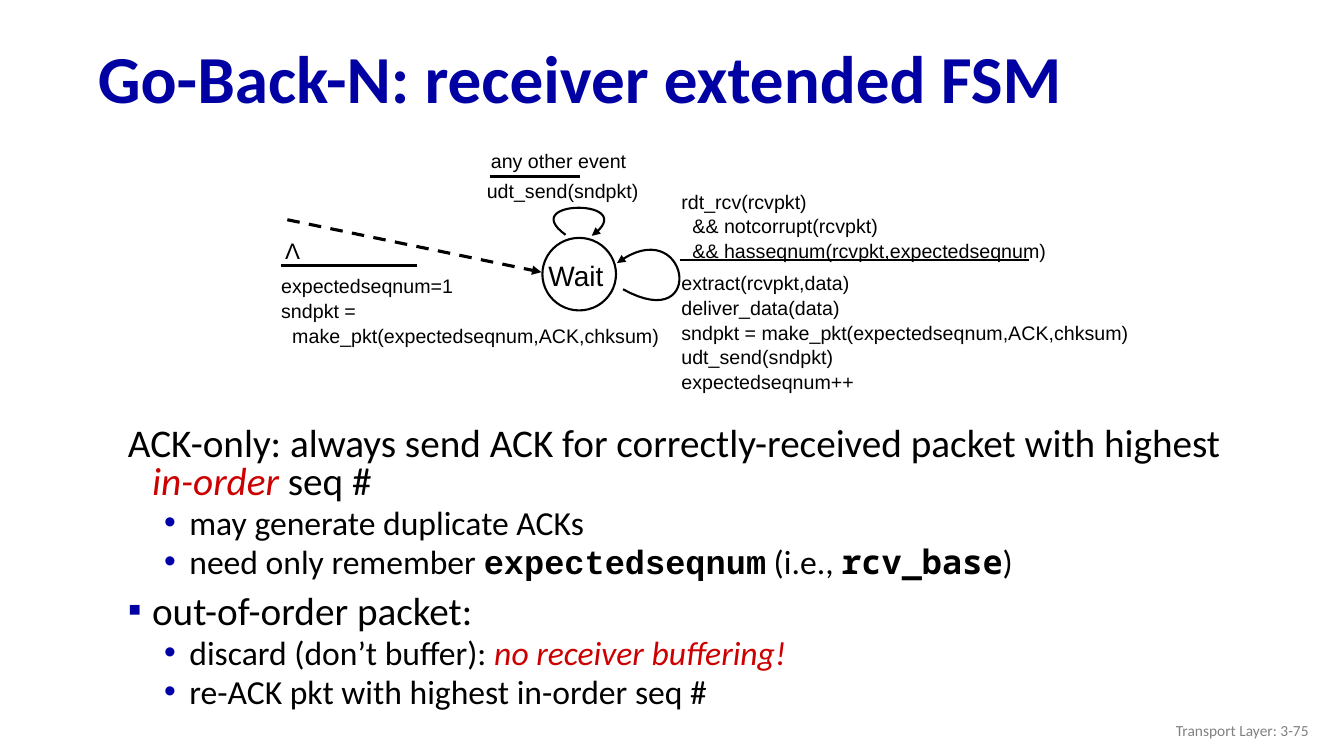
"""Build the Go-Back-N receiver extended FSM slide."""
from lxml.etree import SubElement
from pptx import Presentation
from pptx.dml.color import RGBColor
from pptx.enum.dml import MSO_LINE
from pptx.enum.shapes import MSO_CONNECTOR, MSO_SHAPE
from pptx.enum.text import MSO_ANCHOR, PP_ALIGN
from pptx.oxml.ns import qn
from pptx.util import Inches, Pt

COLORS = {"title": "0000A3", "bullet": "0000A8", "text": "000000",
          "accent": "CC0000", "footer": "808080", "state": "FFFFFF"}


def add_run(paragraph, text, size, color="text", name="Arial", **styles):
    """Append a formatted run to a paragraph."""
    run = paragraph.add_run()
    run.text = text
    run.font.color.rgb = RGBColor.from_string(COLORS[color])
    for attribute, value in {"size": Pt(size), "name": name, **styles}.items():
        setattr(run.font, attribute, value)


def style_line(shape, width, arrow):
    """Give a line or outline its colour, width and optional arrowhead."""
    shape.line.color.rgb = RGBColor.from_string(COLORS["text"])
    shape.line.width = Pt(width)
    properties = shape.element.spPr
    if arrow:
        SubElement(properties.find(qn("a:ln")), qn("a:tailEnd"), type="triangle")
    if properties.find(qn("a:effectLst")) is None:
        SubElement(properties, qn("a:effectLst"))


presentation = Presentation()
presentation.slide_width = Inches(13.33)
presentation.slide_height = Inches(7.5)
slide = presentation.slides.add_slide(presentation.slide_layouts[5])

title = slide.shapes.title
title_box = {"left": 0.87, "top": 0.32, "width": 12.14, "height": 0.98}
for attribute, value in title_box.items():
    setattr(title, attribute, Inches(value))
title.text_frame.vertical_anchor = MSO_ANCHOR.MIDDLE
paragraph = title.text_frame.paragraphs[0]
paragraph.alignment = PP_ALIGN.LEFT
paragraph.line_spacing = 0.9
add_run(paragraph, "Go-Back-N: receiver extended FSM", 48, "title", "Calibri", bold=True)

footer = slide.shapes.add_textbox(Inches(10.08), Inches(7.05), Inches(3), Inches(0.4))
footer.text_frame.word_wrap = True
footer.text_frame.vertical_anchor = MSO_ANCHOR.MIDDLE
paragraph = footer.text_frame.paragraphs[0]
paragraph.alignment = PP_ALIGN.RIGHT
add_run(paragraph, "Transport Layer: 3-75", 11, "footer", "Calibri")

state = slide.shapes.add_shape(
    MSO_SHAPE.OVAL, Inches(5.38), Inches(2.36), Inches(0.73), Inches(0.72))
state.shadow.inherit = False
state.fill.solid()
state.fill.fore_color.rgb = RGBColor.from_string(COLORS["state"])
style_line(state, 1.5, False)

straight_lines = [
    ((2.85, 2.18), (5.37, 2.7), 2.25, True),
    ((6.74, 2.58), (10.21, 2.58), 1.5, False),
    ((4.86, 1.75), (5.75, 1.75), 2.25, False),
    ((2.79, 2.63), (4.14, 2.63), 2.25, False),
]
for start, end, width, is_transition in straight_lines:
    connector = slide.shapes.add_connector(
        MSO_CONNECTOR.STRAIGHT, *(Inches(value) for value in start + end))
    if is_transition:
        connector.line.dash_style = MSO_LINE.DASH
    style_line(connector, width, is_transition)

self_loops = [
    [(6.18, 2.87), (7.03, 3.34), (6.83, 2.08), (6.12, 2.61)],
    [(5.61, 2.33), (5.11, 1.97), (6.38, 1.97), (5.87, 2.34)],
]
STEPS = 32
for controls in self_loops:
    points = []
    for step in range(STEPS + 1):
        t = step / STEPS
        weights = ((1 - t) ** 3, 3 * t * (1 - t) ** 2, 3 * t ** 2 * (1 - t), t ** 3)
        points.append(tuple(
            Inches(sum(weight * control[axis] for weight, control in zip(weights, controls)))
            for axis in (0, 1)))
    builder = slide.shapes.build_freeform(*points[0])
    builder.add_line_segments(points[1:], close=False)
    loop = builder.convert_to_shape()
    loop.shadow.inherit = False
    loop.fill.background()
    style_line(loop, 1.5, True)

fsm_labels = [
    ((5.34, 2.52, 0.88, 0.37), 20, [("Wait", 0)]),
    ((6.66, 1.82, 3.9, 0.62), 14, [
        ("rdt_rcv(rcvpkt)", 0),
        ("&& notcorrupt(rcvpkt)", 0.11),
        ("&& hasseqnum(rcvpkt,expectedseqnum)", 0.11)]),
    ((6.66, 2.63, 4.72, 0.94), 14, [
        ("extract(rcvpkt,data)", 0),
        ("deliver_data(data)", 0),
        ("sndpkt = make_pkt(expectedseqnum,ACK,chksum)", 0),
        ("udt_send(sndpkt)", 0),
        ("expectedseqnum++", 0)]),
    ((4.73, 1.73, 1.77, 0.34), 14, [("udt_send(sndpkt)", 0)]),
    ((4.77, 1.43, 1.82, 0.27), 14, [("any other event", 0)]),
    ((2.69, 2.66, 3.98, 1.07), 14, [
        ("expectedseqnum=1", 0),
        ("sndpkt =", 0),
        ("make_pkt(expectedseqnum,ACK,chksum)", 0.11)]),
    ((2.73, 2.3, 0.35, 0.37), 16, [("Λ", 0)]),
]
for box, size, lines in fsm_labels:
    label = slide.shapes.add_textbox(*(Inches(value) for value in box))
    label.text_frame.word_wrap = True
    for index, (text, indent) in enumerate(lines):
        paragraph = label.text_frame.add_paragraph() if index else label.text_frame.paragraphs[0]
        if len(lines) > 1:
            paragraph.line_spacing = 1.05
        if indent:
            paragraph._p.get_or_add_pPr().set("marL", str(Inches(indent)))
        add_run(paragraph, text, size)

LEVELS = [
    {"size": 28, "margin": 0.39, "indent": -0.24, "before": 10, "color": "title"},
    {"size": 24, "margin": 0.76, "indent": -0.25, "before": 5, "color": "bullet"},
]
EMPHASIS = {"color": "accent", "italic": True}
notes = [
    (0, None, [
        ("ACK-only: always send ACK for correctly-received packet with highest ", {}),
        ("in-order", EMPHASIS), (" seq #", {})]),
    (1, "•", [("may generate duplicate ACKs", {})]),
    (1, "•", [
        ("need only remember ", {}),
        ("expectedseqnum", {"name": "Courier New", "bold": True}), (" (i.e., ", {}),
        ("rcv_base", {"name": "Noto Sans Mono", "bold": True}), (")", {})]),
    (0, "▪", [("out-of-order packet:", {})]),
    (1, "•", [("discard (don’t buffer): ", {}), ("no receiver buffering!", EMPHASIS)]),
    (1, "•", [("re-ACK pkt with highest in-order seq #", {})]),
]
body = slide.shapes.add_textbox(Inches(1.02), Inches(4.19), Inches(11.28), Inches(3.12))
body.text_frame.word_wrap = True
for index, (level, bullet, runs) in enumerate(notes):
    paragraph = body.text_frame.add_paragraph() if index else body.text_frame.paragraphs[0]
    style = LEVELS[level]
    paragraph.level = level
    paragraph.line_spacing = 0.8
    paragraph.space_before = Pt(style["before"] if index else 0)
    properties = paragraph._p.get_or_add_pPr()
    properties.set("marL", str(Inches(style["margin"])))
    properties.set("indent", str(Inches(style["indent"])))
    if bullet:
        bullet_color = SubElement(properties, qn("a:buClr"))
        SubElement(bullet_color, qn("a:srgbClr"), val=COLORS[style["color"]])
        SubElement(properties, qn("a:buFont"), typeface="Arial")
        SubElement(properties, qn("a:buChar"), char=bullet)
    else:
        SubElement(properties, qn("a:buNone"))
    for text, formats in runs:
        add_run(paragraph, text, style["size"], **{"name": "Calibri", **formats})

presentation.save("out.pptx")
